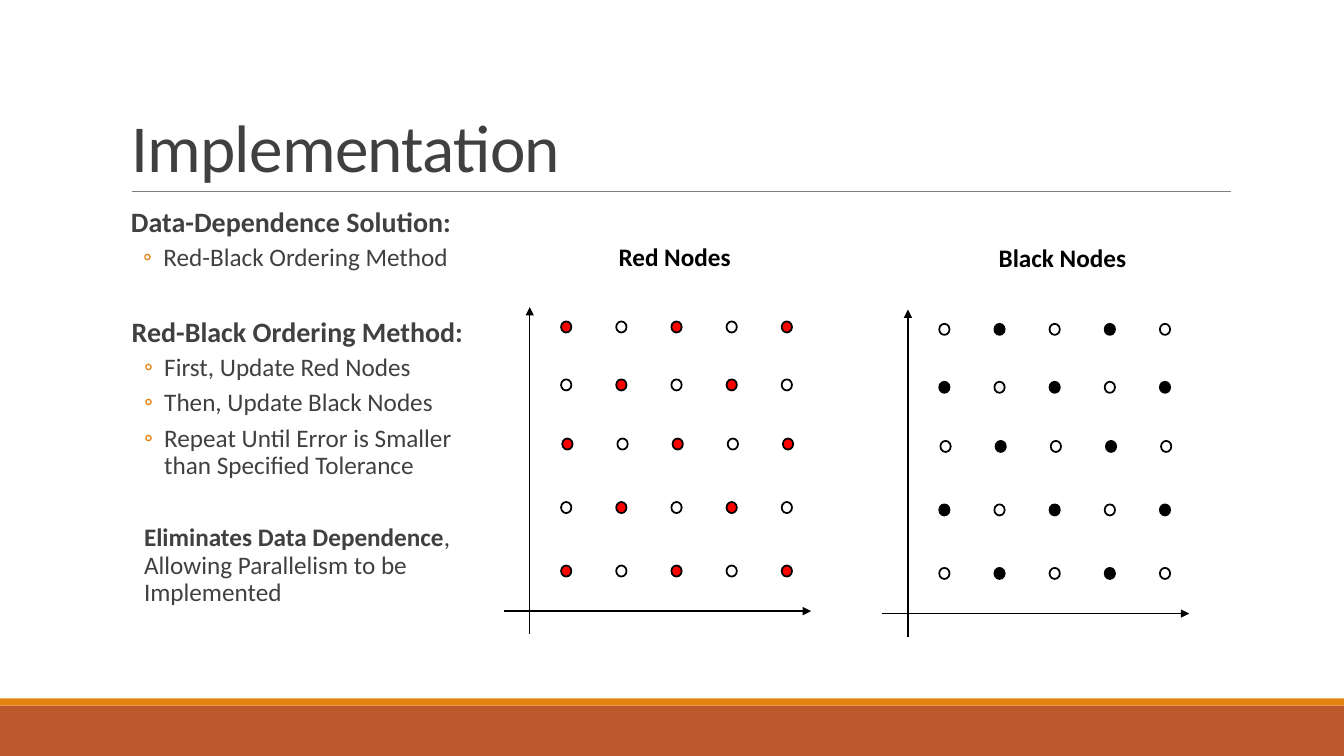
from dataclasses import dataclass

from lxml import etree
from pptx import Presentation
from pptx.dml.color import RGBColor
from pptx.enum.shapes import MSO_CONNECTOR, MSO_SHAPE
from pptx.enum.text import MSO_ANCHOR, MSO_AUTO_SIZE, PP_ALIGN
from pptx.oxml.ns import qn
from pptx.util import Cm, Pt

STRAIGHT = MSO_CONNECTOR.STRAIGHT
RECTANGLE, OVAL = MSO_SHAPE.RECTANGLE, MSO_SHAPE.OVAL
BOTTOM, TOP = MSO_ANCHOR.BOTTOM, MSO_ANCHOR.TOP
NO_AUTOFIT, LEFT = MSO_AUTO_SIZE.NONE, PP_ALIGN.LEFT


@dataclass(frozen=True)
class Theme:
    font: str = "Calibri"
    text: str = "404040"
    ink: str = "000000"
    rule: str = "808080"
    accent: str = "E48312"
    footer: str = "BD582C"
    red: str = "FF0000"
    pale: str = "F2F2F2"
    title_size: int = 48
    heading_size: int = 20
    body_size: int = 18


THEME = Theme()

# Paragraph formats: left margin and hanging indent in cm, then paragraph attributes
HEADING = {"margin": 0.25, "size": THEME.heading_size,
           "format": {"line_spacing": 0.9, "space_after": Pt(2)}}
BULLET = {"margin": 1.07, "hanging": 0.51, "bullet": "◦", "size": THEME.body_size,
          "format": {"line_spacing": 0.9, "space_before": Pt(2), "space_after": Pt(4)}}
CONCLUSION = {"margin": 0.56, "size": THEME.body_size,
              "format": {"line_spacing": 0.9, "space_before": Pt(28), "space_after": Pt(4)}}
LABEL = {"size": THEME.body_size, "color": THEME.ink, "format": {}}
TITLE = {"size": THEME.title_size, "format": {"line_spacing": 0.85}}

# Node grid, in cm, for the left-hand diagram
GRID_LEFT, COLUMN_PITCH, COLUMNS = 14.14, 1.39, 5
ROW_TOPS = (8.1, 9.56, 11.05, 12.65, 14.25)
ROW_SHIFTS = (0, 0, 0.03, 0, 0)
NODE_WIDTH, NODE_HEIGHT = 0.26, 0.28
AXES = ((13.35, 15.98, 13.35, 7.74), (12.7, 15.4, 20.44, 15.4))


def set_all(target, values):
    for name, value in values.items():
        setattr(target, name, value)


class SlideBuilder:
    def __init__(self, slide, theme):
        self.slide = slide
        self.theme = theme

    def shape(self, kind, box, fill=None, line=None, shapes=None):
        parent = self.slide.shapes if shapes is None else shapes
        shape = parent.add_shape(kind, *map(Cm, box))
        shape.shadow.inherit = False
        if fill:
            shape.fill.solid()
            shape.fill.fore_color.rgb = RGBColor.from_string(fill)
        else:
            shape.fill.background()
        if line:
            shape.line.color.rgb = RGBColor.from_string(line)
            shape.line.width = Pt(1.25)
        else:
            shape.line.fill.background()

    def line(self, ends, color, width, arrow=False, shapes=None):
        parent = self.slide.shapes if shapes is None else shapes
        connector = parent.add_connector(STRAIGHT, *map(Cm, ends))
        connector.line.color.rgb = RGBColor.from_string(color)
        connector.line.width = Pt(width)
        if arrow:
            outline = connector.line._get_or_add_ln()
            etree.SubElement(outline, qn("a:tailEnd"), type="triangle")
        etree.SubElement(connector._element.spPr, qn("a:effectLst"))

    def paragraph(self, paragraph, runs, style):
        """Write (text, bold) runs in one paragraph style."""
        properties = paragraph._p.get_or_add_pPr()
        if "margin" in style:
            properties.set("marL", str(Cm(style["margin"])))
            properties.set("indent", str(-Cm(style.get("hanging", 0))))
        if "bullet" in style:
            color = etree.SubElement(properties, qn("a:buClr"))
            etree.SubElement(color, qn("a:srgbClr"), val=self.theme.accent)
            etree.SubElement(properties, qn("a:buFont"), typeface=self.theme.font)
            etree.SubElement(properties, qn("a:buChar"), char=style["bullet"])
        set_all(paragraph, {"alignment": LEFT, **style["format"]})
        for text, bold in runs:
            run = paragraph.add_run()
            run.text = text
            set_all(run.font, {"name": self.theme.font, "size": Pt(style["size"]), "bold": bold})
            run.font.color.rgb = RGBColor.from_string(style.get("color", self.theme.text))

    def title(self, text, box):
        title = self.slide.shapes.title
        set_all(title, dict(zip(("left", "top", "width", "height"), map(Cm, box))))
        set_all(title.text_frame, {"vertical_anchor": BOTTOM, "word_wrap": True,
                                   "auto_size": NO_AUTOFIT})
        paragraph = title.text_frame.paragraphs[0]
        self.paragraph(paragraph, [(text, False)], TITLE)
        paragraph.runs[0].font._element.set("spc", "-50")

    def text(self, box, paragraphs, side_inset=0.0):
        frame = self.slide.shapes.add_textbox(*map(Cm, box)).text_frame
        set_all(frame, {"word_wrap": True, "vertical_anchor": TOP,
                        "margin_left": Cm(side_inset), "margin_right": Cm(side_inset),
                        "margin_top": Cm(0.13), "margin_bottom": Cm(0.13)})
        for index, (style, runs) in enumerate(paragraphs):
            paragraph = frame.add_paragraph() if index else frame.paragraphs[0]
            self.paragraph(paragraph, runs, style)

    def node_diagram(self, offset, parity, fill, shaded=()):
        """Draw a checkerboard of nodes, filled where row + column has the given parity."""
        shift_x, shift_y = offset
        shapes = self.slide.shapes.add_group_shape().shapes
        for row, (top, row_shift) in enumerate(zip(ROW_TOPS, ROW_SHIFTS)):
            for column in range(COLUMNS):
                left = GRID_LEFT + row_shift + column * COLUMN_PITCH
                color = fill if (row + column) % 2 == parity else None
                if (row, column) in shaded:
                    color = self.theme.pale
                box = (left + shift_x, top + shift_y, NODE_WIDTH, NODE_HEIGHT)
                self.shape(OVAL, box, color, self.theme.ink, shapes)
        for x1, y1, x2, y2 in AXES:
            ends = (x1 + shift_x, y1 + shift_y, x2 + shift_x, y2 + shift_y)
            self.line(ends, self.theme.ink, 1, True, shapes)


def main():
    presentation = Presentation()
    presentation.slide_width, presentation.slide_height = Cm(33.87), Cm(19.05)
    slide = presentation.slides.add_slide(presentation.slide_layouts[5])
    builder = SlideBuilder(slide, THEME)

    builder.shape(RECTANGLE, (0, 17.78, 33.87, 1.27), THEME.footer)
    builder.shape(RECTANGLE, (0, 17.6, 33.87, 0.18), THEME.accent)
    builder.line((3.33, 4.82, 31.01, 4.82), THEME.rule, 0.5)
    builder.title("Implementation", (3.05, 0.79, 27.94, 4.03))

    builder.text((3.05, 5.13, 9.32, 2.18), [
        (HEADING, [("Data-Dependence Solution:", True)]),
        (BULLET, [("Red-Black Ordering Method", False)]),
    ])
    steps = ("First, Update Red Nodes", "Then, Update Black Nodes",
             "Repeat Until Error is Smaller than Specified Tolerance")
    builder.text((3.07, 7.9, 8.69, 8.53), [
        (HEADING, [("Red-Black Ordering Method:", True)]),
        *((BULLET, [(step, False)]) for step in steps),
        (CONCLUSION, [("Eliminates Data Dependence", True),
                      (", Allowing Parallelism to be Implemented", False)]),
    ])

    builder.node_diagram((0, 0), 0, THEME.red)
    builder.node_diagram((9.53, 0.06), 1, THEME.ink, shaded={(1, 1)})
    builder.text((15.34, 5.94, 3.66, 1.02), [(LABEL, [("Red Nodes", True)])], 0.25)
    builder.text((24.92, 5.97, 3.84, 1.02), [(LABEL, [("Black Nodes", True)])], 0.25)

    presentation.save("out.pptx")


if __name__ == "__main__":
    main()
